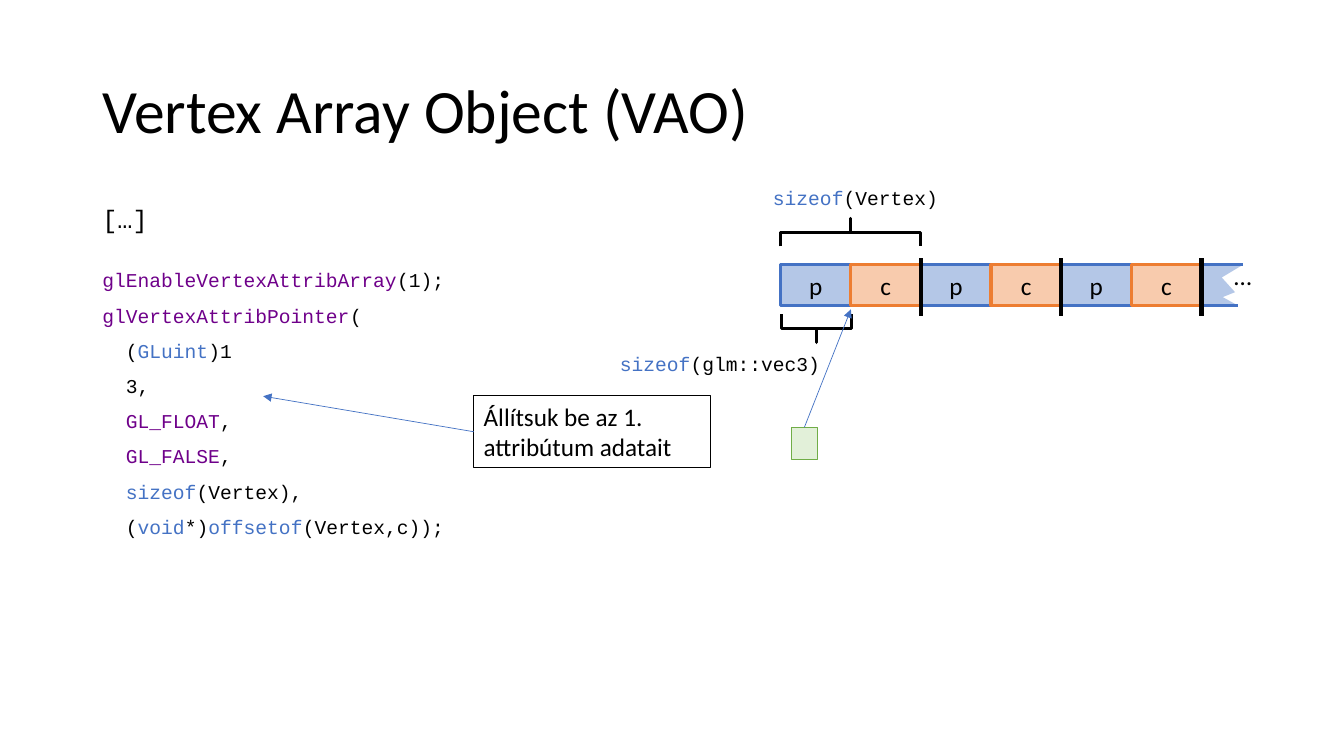
from dataclasses import dataclass

from lxml.etree import SubElement
from pptx import Presentation
from pptx.dml.color import RGBColor
from pptx.enum.shapes import MSO_CONNECTOR, MSO_SHAPE
from pptx.enum.text import MSO_ANCHOR, PP_ALIGN
from pptx.oxml.ns import qn
from pptx.util import Pt


@dataclass(frozen=True)
class Theme:
    black: str = "000000"
    blue: str = "4472C4"
    purple: str = "6F008A"
    pale_blue: str = "B4C7E7"
    orange: str = "ED7D31"
    pale_orange: str = "F8CBAD"
    green: str = "70AD47"
    pale_green: str = "E2F0D9"
    sans: str = "Calibri"
    mono: str = "Courier New"
    title_size: float = 44
    body_size: float = 18
    code_size: float = 14
    thin: float = 0.5
    edge: float = 2.25
    divider: float = 3


@dataclass(frozen=True)
class Box:
    left: float
    top: float
    width: float
    height: float

    def lengths(self) -> tuple:
        return Pt(self.left), Pt(self.top), Pt(self.width), Pt(self.height)


@dataclass(frozen=True)
class Span:
    text: str
    color: str = Theme.black


@dataclass(frozen=True)
class Para:
    spans: tuple[Span, ...]
    indent: float = 0


@dataclass(frozen=True)
class Style:
    font: str
    size: float
    align: PP_ALIGN = PP_ALIGN.LEFT
    anchor: MSO_ANCHOR = MSO_ANCHOR.TOP
    line_spacing: float = 1
    space_before: float = 0


@dataclass(frozen=True)
class Field:
    name: str
    fill: str
    line: str


@dataclass(frozen=True)
class Brace:
    box: Box
    rotation: float


theme = Theme()
deck = Presentation()
deck.slide_width, deck.slide_height = Pt(960), Pt(540)
page = deck.slides.add_slide(deck.slide_layouts[6])


def write(shape, paras: list[Para], style: Style) -> None:
    frame = shape.text_frame
    frame.word_wrap = True
    frame.vertical_anchor = style.anchor
    for index, para in enumerate(paras):
        line = frame.add_paragraph() if index else frame.paragraphs[0]
        line.alignment = style.align
        line.line_spacing = style.line_spacing
        line.space_before = Pt(style.space_before)
        if para.indent:
            line._p.get_or_add_pPr().set("marL", str(Pt(para.indent)))
        for span in para.spans:
            run = line.add_run()
            run.text = span.text
            run.font.name = style.font
            run.font.size = Pt(style.size)
            run.font.color.rgb = RGBColor.from_string(span.color)


def add_text(box: Box, paras: list[Para], style: Style) -> None:
    write(page.shapes.add_textbox(*box.lengths()), paras, style)


def paint(shape, fill: str | None, line: str | None, weight: float = 0) -> None:
    shape.shadow.inherit = False
    if fill:
        shape.fill.solid()
        shape.fill.fore_color.rgb = RGBColor.from_string(fill)
    else:
        shape.fill.background()
    if line:
        shape.line.color.rgb = RGBColor.from_string(line)
        shape.line.width = Pt(weight)
    else:
        shape.line.fill.background()


def add_rectangle(box: Box, fill: str | None, line: str, weight: float):
    shape = page.shapes.add_shape(MSO_SHAPE.RECTANGLE, *box.lengths())
    paint(shape, fill, line, weight)
    return shape


def add_line(start: tuple[float, float], end: tuple[float, float], color: str,
             weight: float, arrow: bool = False) -> None:
    points = (Pt(value) for value in (*start, *end))
    line = page.shapes.add_connector(MSO_CONNECTOR.STRAIGHT, *points)
    line.line.color.rgb = RGBColor.from_string(color)
    line.line.width = Pt(weight)
    if arrow:
        SubElement(line.line._get_or_add_ln(), qn("a:tailEnd"), type="triangle")
    SubElement(line._element.spPr, qn("a:effectLst"))


def add_brace(brace: Brace) -> None:
    shape = page.shapes.add_shape(MSO_SHAPE.LEFT_BRACE, *brace.box.lengths())
    shape.rotation = brace.rotation
    shape.adjustments[0], shape.adjustments[1] = 0, 0.5
    paint(shape, None, theme.black, theme.edge)


title_style = Style(theme.sans, theme.title_size, anchor=MSO_ANCHOR.MIDDLE, line_spacing=0.9)
body_style = Style(theme.mono, theme.body_size, line_spacing=0.9, space_before=10)
code_style = Style(theme.mono, theme.code_size, line_spacing=0.9, space_before=10)
label_style = Style(theme.mono, theme.code_size)
callout_style = Style(theme.sans, theme.body_size)
cell_style = Style(theme.sans, theme.body_size, PP_ALIGN.CENTER, MSO_ANCHOR.MIDDLE)

add_text(Box(66, 28.8, 828, 104.4), [Para((Span("Vertex Array Object (VAO)"),))], title_style)
add_text(Box(66, 144, 295, 28.8), [Para((Span("[…]"),))], body_style)

callout = add_rectangle(Box(338.4, 282.8, 169.2, 51.2), None, theme.black, 0.75)
write(callout, [Para((Span("Állítsuk be az 1. attribútum adatait"),))], callout_style)
add_line((338.4, 308.4), (188, 283), theme.blue, theme.thin, arrow=True)

argument_indent = 16.8
code = [
    Para((Span("glEnableVertexAttribArray", theme.purple), Span("(1);"))),
    Para((Span("glVertexAttribPointer", theme.purple), Span("("))),
    Para((Span("("), Span("GLuint", theme.blue), Span(")1")), argument_indent),
    Para((Span("3,"),), argument_indent),
    Para((Span("GL_FLOAT", theme.purple), Span(",")), argument_indent),
    Para((Span("GL_FALSE", theme.purple), Span(",")), argument_indent),
    Para((Span("sizeof", theme.blue), Span("(Vertex),")), argument_indent),
    Para((Span("("), Span("void", theme.blue), Span("*)"),
          Span("offsetof", theme.blue), Span("(Vertex,c));")), argument_indent),
]
add_text(Box(66, 190, 295, 236), code, code_style)

for brace in (Brace(Box(597.6, 116, 20, 100), 90), Brace(Box(573, 209.6, 20, 50), 270)):
    add_brace(brace)
for box, argument in ((Box(545, 129.6, 134, 24.2), "(Vertex)"),
                      (Box(435.6, 247.8, 165, 24.2), "(glm::vec3)")):
    add_text(box, [Para((Span("sizeof", theme.blue), Span(argument)))], label_style)

add_rectangle(Box(565.2, 305.2, 18.8, 23.2), theme.pale_green, theme.green, 1)
add_line((574.6, 305.2), (607.8, 221), theme.blue, theme.thin, arrow=True)

fields = (Field("p", theme.pale_blue, theme.blue), Field("c", theme.pale_orange, theme.orange))
vertex_count = 3
cell_width, cell_height = 50.1, 29
row_left, row_top = 557.6, 189.2
row_bottom = row_top + cell_height
row_right = row_left + vertex_count * len(fields) * cell_width

torn_edge = [(row_right + x, row_top + y) for x, y in
             ((14.5, 9), (24, 19.5), (15.2, 23), (26, cell_height))]
torn_corners = [(row_right, row_bottom), (row_right, row_top), (row_right + 29.5, row_top)]
outline = [tuple(Pt(value) for value in point) for point in torn_edge + torn_corners]
builder = page.shapes.build_freeform(*outline[0])
builder.add_line_segments(outline[1:], close=True)
paint(builder.convert_to_shape(), theme.pale_blue, None)
for end in ((row_right + 29.5, row_top), (row_right + 26, row_bottom), (row_right, row_bottom)):
    add_line((row_right, end[1] if end[0] > row_right else row_top), end, theme.blue, theme.edge)
add_text(Box(852.5, 182.2, 70.6, 29), [Para((Span("…"),))], cell_style)

for index, field in enumerate(fields * vertex_count):
    cell_box = Box(row_left + index * cell_width, row_top, cell_width, cell_height)
    cell = add_rectangle(cell_box, field.fill, field.line, theme.edge)
    write(cell, [Para((Span(field.name),))], cell_style)
for vertex in range(1, vertex_count + 1):
    x = row_left + vertex * len(fields) * cell_width
    add_line((x, 184.4), (x, 226), theme.black, theme.divider)

deck.save("out.pptx")
